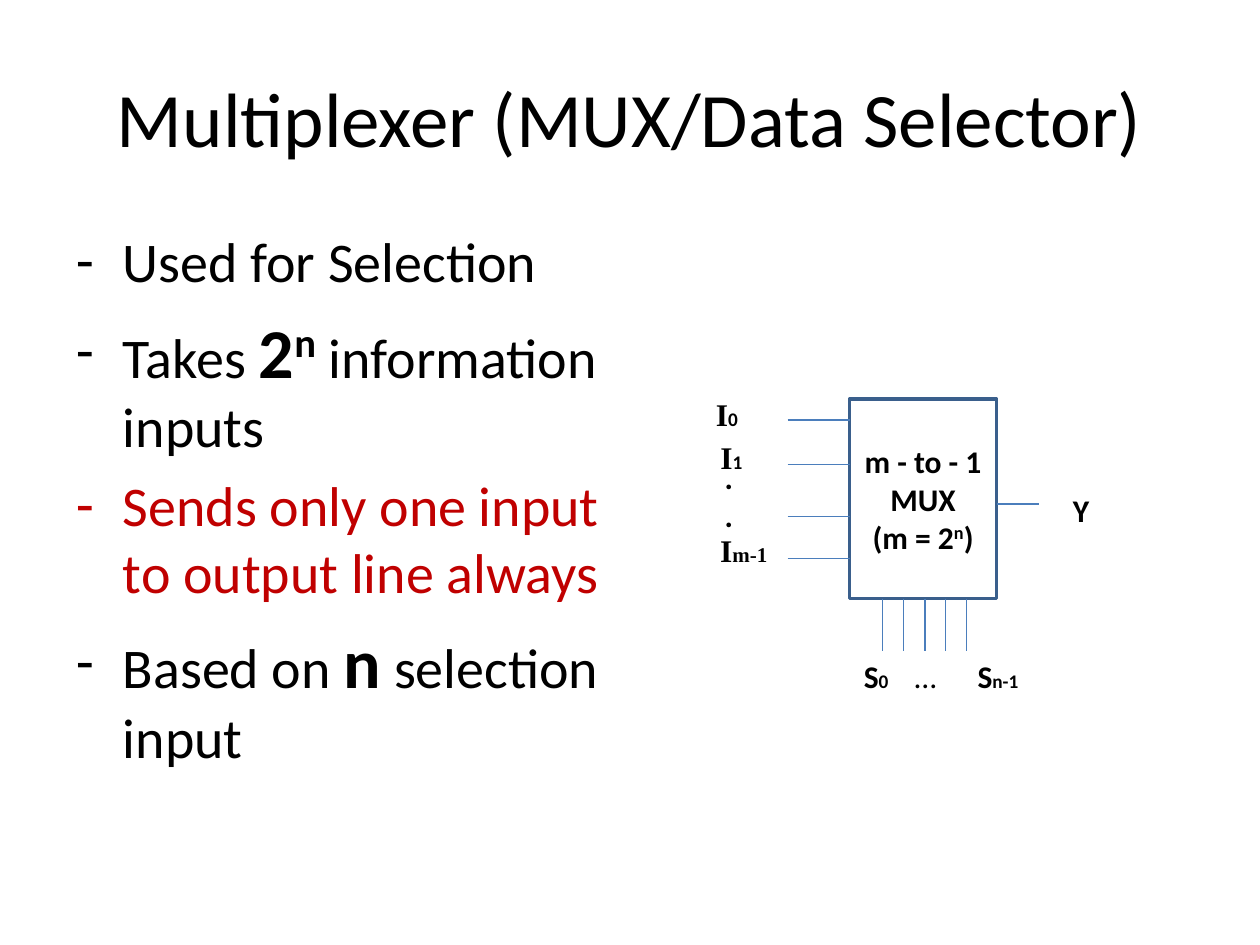
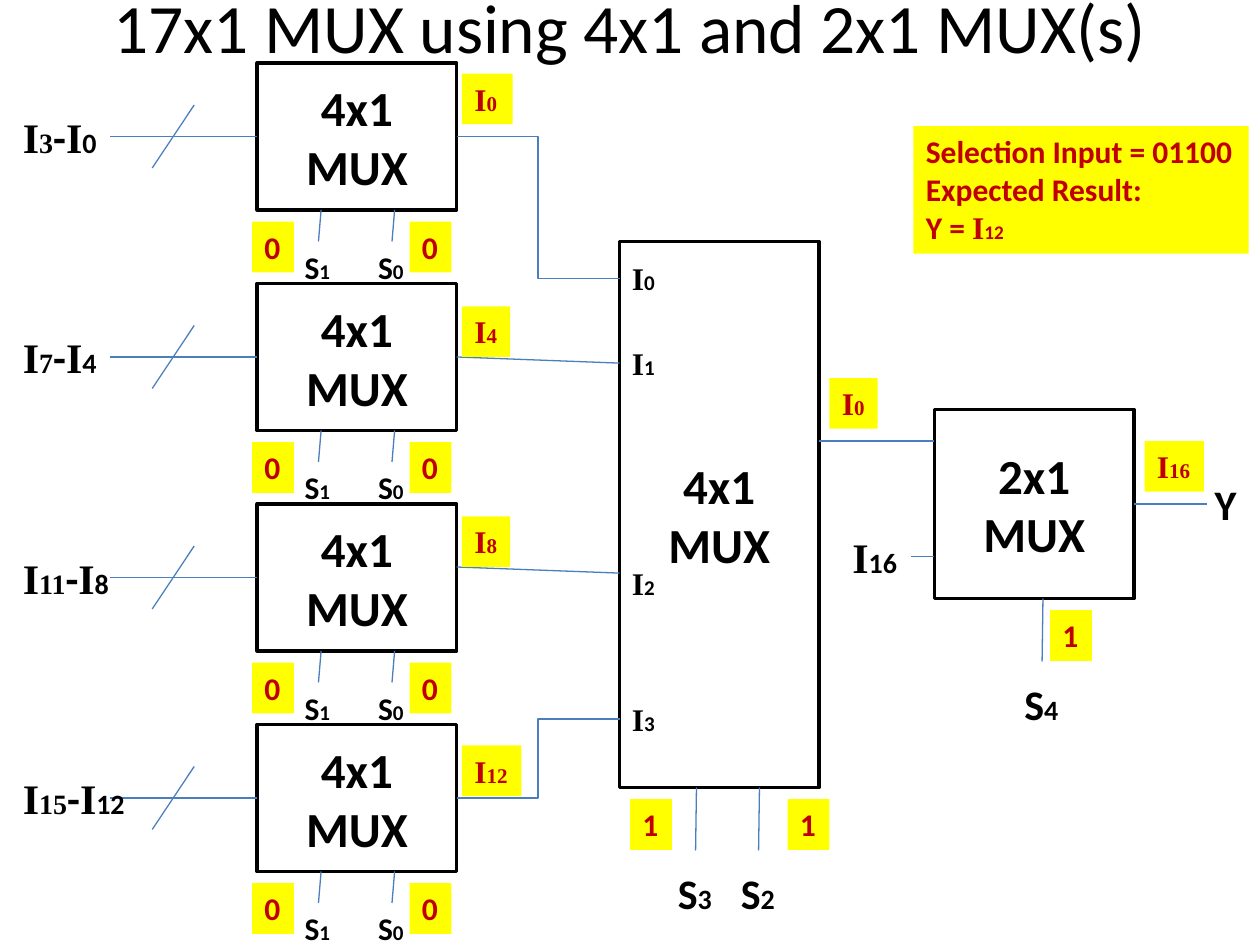
from dataclasses import dataclass

from lxml.etree import SubElement
from pptx import Presentation
from pptx.dml.color import RGBColor
from pptx.enum.shapes import MSO_CONNECTOR, MSO_SHAPE
from pptx.enum.text import MSO_ANCHOR, MSO_AUTO_SIZE, PP_ALIGN
from pptx.oxml.ns import qn
from pptx.util import Pt


@dataclass(frozen=True)
class Theme:
    text: str = "000000"
    accent: str = "C00000"
    wire: str = "4B7EBC"
    symbol_edge: str = "3A5F8C"
    highlight: str = "FFFF00"
    sans: str = "Calibri"
    serif: str = "Times New Roman"
    title: float = 44
    tight_title: float = 39.6
    body: float = 32
    emphasis: float = 40
    block: float = 28
    large: float = 24
    large_index: float = 16
    label: float = 18
    label_index: float = 12
    small_index: float = 11


THEME = Theme()


@dataclass
class Box:
    left: float
    top: float
    width: float
    height: float

    @property
    def right(self):
        return self.left + self.width

    @property
    def bottom(self):
        return self.top + self.height

    def lengths(self):
        return [Pt(value) for value in (self.left, self.top, self.width, self.height)]


@dataclass
class Run:
    text: str
    size: float = THEME.label
    font: str = THEME.sans
    bold: bool = True
    color: str = THEME.text
    raised: bool = False


# ---- Text helpers ----
def write(text_frame, paragraphs, align=None):
    """Fill a text frame from a list of paragraphs, each a list of runs."""
    for index, runs in enumerate(paragraphs):
        paragraph = text_frame.paragraphs[0] if index == 0 else text_frame.add_paragraph()
        paragraph.alignment = align
        for part in runs:
            run = paragraph.add_run()
            run.text = part.text
            run.font.size = Pt(part.size)
            run.font.name = part.font
            run.font.bold = part.bold
            run.font.color.rgb = RGBColor.from_string(part.color)
            if part.raised:
                run.font._element.set("baseline", "30000")


def indexed(letter, index, size=THEME.label, index_size=THEME.label_index,
            index_font=THEME.sans, color=THEME.text):
    """A letter with a smaller index; the letter I is set in the serif font."""
    letter_font = THEME.serif if letter == "I" else THEME.sans
    return [Run(letter, size, letter_font, color=color),
            Run(index, index_size, index_font, color=color)]


def add_label(slide, left, top, width, *paragraphs, height=29, fill=None):
    shape = slide.shapes.add_textbox(*Box(left, top, width, height).lengths())
    shape.text_frame.word_wrap = False
    shape.text_frame.auto_size = MSO_AUTO_SIZE.SHAPE_TO_FIT_TEXT
    if fill:
        shape.fill.solid()
        shape.fill.fore_color.rgb = RGBColor.from_string(fill)
    write(shape.text_frame, paragraphs)


def add_tag(slide, left, top, value, letter=None, width=24):
    """A highlighted signal value, either a bit or an indexed input."""
    if letter:
        runs = indexed(letter, value, index_font=THEME.serif, color=THEME.accent)
    else:
        runs = [Run(value, color=THEME.accent)]
    add_label(slide, left, top, width, runs, fill=THEME.highlight)


def set_title(slide, text, box, size):
    title = slide.shapes.title
    title.left, title.top, title.width, title.height = box.lengths()
    title.text_frame.auto_size = MSO_AUTO_SIZE.NONE
    title.text_frame.vertical_anchor = MSO_ANCHOR.MIDDLE
    write(title.text_frame, [[Run(text, size, bold=False)]], PP_ALIGN.CENTER)


# ---- Diagram helpers ----
def add_wire(slide, x1, y1, x2, y2, kind=MSO_CONNECTOR.STRAIGHT):
    wire = slide.shapes.add_connector(kind, Pt(x1), Pt(y1), Pt(x2), Pt(y2))
    wire.line.color.rgb = RGBColor.from_string(THEME.wire)
    wire.line.width = Pt(0.75)
    SubElement(wire._element.spPr, qn("a:effectLst"))


def add_block(slide, box, paragraphs, edge=THEME.text):
    block = slide.shapes.add_shape(MSO_SHAPE.RECTANGLE, *box.lengths())
    block.shadow.inherit = False
    block.fill.background()
    block.line.color.rgb = RGBColor.from_string(edge)
    block.line.width = Pt(2)
    block.text_frame.vertical_anchor = MSO_ANCHOR.MIDDLE
    write(block.text_frame, paragraphs, PP_ALIGN.CENTER)


def add_mux(slide, box, size_name):
    add_block(slide, box, [[Run(name, THEME.block)] for name in (size_name, "MUX")])


def add_select_pins(slide, box, pins, value, large=True):
    """Pins below a block; each is (index, line offset, tag offset)."""
    if large:
        reach, gap, slant, width, height = 36, 6, 0.5, 34.5, 36
        sizes = THEME.large, THEME.large_index
    else:
        reach, gap, slant, width, height = 18, 0, 1.5, 30, 29
        sizes = THEME.label, THEME.label_index
    for index, line_offset, tag_offset in pins:
        x = box.left + line_offset
        add_wire(slide, x + slant, box.bottom, x, box.bottom + reach)
        add_label(slide, x - width / 2, box.bottom + reach + gap, width,
                  indexed("S", index, *sizes), height=height)
        add_tag(slide, box.left + tag_offset, box.bottom + 6.7, value)


# ---- Slide 1: definition ----
def add_properties(slide, box):
    body = slide.placeholders[1]
    body.left, body.top, body.width, body.height = box.lengths()
    body.text_frame.auto_size = MSO_AUTO_SIZE.NONE

    def plain(text, color=THEME.text):
        return Run(text, THEME.body, bold=False, color=color)

    write(body.text_frame, [
        [plain("Used for Selection")],
        [plain("Takes "), Run("2", THEME.emphasis),
         Run("n", THEME.emphasis, raised=True), plain(" information inputs")],
        [plain("Sends only one input to output line always", THEME.accent)],
        [plain("Based on "), Run("n", THEME.emphasis), plain(" selection input")],
    ])
    for paragraph in body.text_frame.paragraphs:
        SubElement(paragraph._p.get_or_add_pPr(), qn("a:buChar")).set("char", "-")
    body.text_frame.paragraphs[0].space_before = Pt(0)


def add_mux_symbol(slide, box):
    add_block(slide, box, [[Run("m - to - 1")], [Run("MUX")],
                           [Run("(m = 2"), Run("n", raised=True), Run(")")]],
              THEME.symbol_edge)
    # Inputs, output and selection lines
    for offset in (12, 37.5, 67, 91):
        add_wire(slide, box.left - 35.5, box.top + offset, box.left, box.top + offset)
    add_wire(slide, box.right, box.top + 60, box.right + 24, box.top + 60)
    for number in range(5):
        x = box.left + 19 + 12 * number
        add_wire(slide, x, box.bottom, x, box.bottom + 30)
    # Labels as (left offset, top offset, width, runs)
    small = THEME.small_index
    labels = [
        (-83.5, -6, 27, indexed("I", "0", index_size=small)),
        (-81, 19, 27, indexed("I", "1", index_size=small)),
        (-81, 72, 42, indexed("I", "m-1", index_font=THEME.serif)),
        (1, 144, 29, indexed("S", "0", index_size=small)),
        (30, 144, 27, [Run("…", bold=False)]),
        (66, 144, 38, indexed("S", "n-1", index_size=small)),
        (120.5, 49, 24, [Run("Y")]),
    ]
    for left, top, width, runs in labels:
        add_label(slide, box.left + left, box.top + top, width, runs)
    add_label(slide, box.left - 78.5, box.top + 30, 19.5, [Run(".")], [Run(".")], height=51)


def build_definition_slide(presentation):
    slide = presentation.slides.add_slide(presentation.slide_layouts[1])
    set_title(slide, "Multiplexer (MUX/Data Selector)", Box(36, 21.6, 648, 90), THEME.title)
    add_properties(slide, Box(36, 126, 330, 356.4))
    add_mux_symbol(slide, Box(485.5, 228, 84, 114))


# ---- Slide 2: 17x1 multiplexer ----
def add_input_mux(slide, box, high, low, label_width):
    add_mux(slide, box, "4x1")
    middle = box.top + box.height / 2
    add_wire(slide, box.left - 84, middle, box.left, middle)
    add_wire(slide, box.left - 36, middle - 18, box.left - 60, middle + 18)
    add_label(slide, box.left - 141, middle - 18, label_width,
              [*indexed("I", high, THEME.large, THEME.large_index, THEME.serif),
               Run("-", THEME.large),
               *indexed("I", low, THEME.large, THEME.large_index)], height=36)
    add_select_pins(slide, box, [("1", 35, -3), ("0", 77, 87)], "0", large=False)


def add_middle_mux(slide, box, source_x):
    add_mux(slide, box, "4x1")
    straight, elbow = MSO_CONNECTOR.STRAIGHT, MSO_CONNECTOR.ELBOW
    # (wire kind, source y, pin y, label y, tag y, tag value, tag width), from the box top
    data_pins = [
        (elbow, -60, 21, 6.5, -96, "0", 29),
        (straight, 66, 69.5, 55, 37, "4", 27.5),
        (straight, 186, 189.5, 181, 157, "8", 27.5),
        (elbow, 318, 273, 258.7, 288, "12", 34),
    ]
    for number, (kind, source, pin, label, tag, value, width) in enumerate(data_pins):
        add_wire(slide, source_x, box.top + source, box.left, box.top + pin, kind)
        add_label(slide, box.left, box.top + label, 28, indexed("I", str(number)))
        add_tag(slide, source_x + 3, box.top + tag, value, "I", width)
    add_select_pins(slide, box, [("3", 43.5, 6), ("2", 79.5, 96)], "1")


def add_output_mux(slide, box, source_x):
    add_mux(slide, box, "2x1")
    # Data inputs
    add_wire(slide, source_x, box.top + 18, box.left, box.top + 18)
    add_tag(slide, source_x + 6, box.top - 18, "0", "I", 27.5)
    add_wire(slide, box.left - 13.5, box.top + 84, box.left, box.top + 84)
    add_label(slide, box.left - 54, box.top + 66, 40,
              indexed("I", "16", THEME.large, THEME.large_index), height=36)
    # Output
    add_wire(slide, box.right, box.top + 54, box.right + 42, box.top + 54)
    add_label(slide, box.right + 39, box.top + 36, 27, [Run("Y", THEME.large)], height=36)
    add_tag(slide, box.right + 6, box.top + 18, "16", "I", 34)
    add_select_pins(slide, box, [("4", 61.5, 66)], "1")


def add_expected_result(slide, box):
    color = THEME.accent
    add_label(slide, box.left, box.top, box.width,
              [Run("Selection Input = 01100", color=color)],
              [Run("Expected Result:", color=color)],
              [Run("Y = ", color=color),
               *indexed("I", "12", index_size=THEME.small_index, color=color)],
              height=box.height, fill=THEME.highlight)


def build_cascade_slide(presentation):
    slide = presentation.slides.add_slide(presentation.slide_layouts[5])
    set_title(slide, "17x1 MUX using 4x1 and 2x1 MUX(s)", Box(0, 0, 720, 30),
              THEME.tight_title)
    # First stage: four equal blocks, four inputs each
    for number, label_width in enumerate((57, 57, 64, 73.5)):
        first = Box(147, 36 + 126 * number, 114, 84)
        low = 4 * number
        add_input_mux(slide, first, str(low + 3), str(low), label_width)
    # Second and third stage
    second = Box(354, 138, 114, 312)
    add_middle_mux(slide, second, first.right)
    add_output_mux(slide, Box(534, 234, 114, 108), second.right)
    add_expected_result(slide, Box(522, 72, 191.5, 73))


def main():
    presentation = Presentation()
    presentation.slide_width, presentation.slide_height = Pt(720), Pt(540)
    build_definition_slide(presentation)
    build_cascade_slide(presentation)
    presentation.save("out.pptx")


if __name__ == "__main__":
    main()
